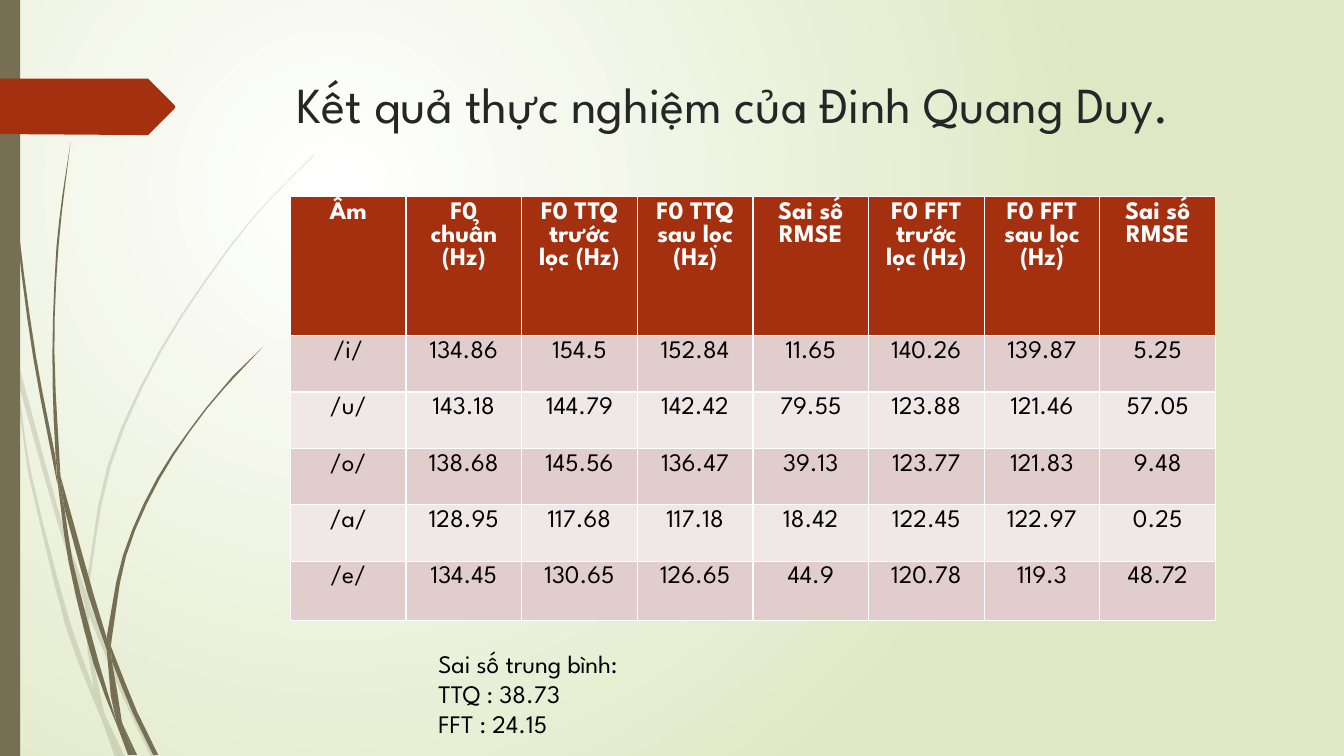
from math import hypot

from lxml import etree
from pptx import Presentation
from pptx.dml.color import RGBColor
from pptx.enum.shapes import MSO_SHAPE
from pptx.enum.text import MSO_ANCHOR, PP_ALIGN
from pptx.oxml import parse_xml
from pptx.oxml.ns import nsdecls, qn
from pptx.util import Pt

RECT = MSO_SHAPE.RECTANGLE
TOP = MSO_ANCHOR.TOP
LEFT, MID = PP_ALIGN.LEFT, PP_ALIGN.CENTER

WHITE = RGBColor(255, 255, 255)
BLACK = RGBColor(0, 0, 0)
INK = RGBColor(0x26, 0x26, 0x26)
OLIVE = RGBColor(0x76, 0x6F, 0x54)
RUST = RGBColor(0xA5, 0x30, 0x10)
ROSE = RGBColor(0xE1, 0xCD, 0xCC)
PALE = RGBColor(0xF0, 0xE8, 0xE7)
GREEN = RGBColor(0xDF, 0xE8, 0xC4)

FACE = "League Spartan"
UNIT = 0.72

HEAD = {"size": Pt(36), "color": INK, "bold": False}
NOTE = {"size": Pt(18), "color": BLACK, "bold": False}
LABEL = {"size": Pt(18), "color": WHITE, "bold": True}

BACK = [
    "11,350 9,322 0,282|0,299 10,344 11,350",
    "17,376 58,522 84,599|85,586 62,520 14,345",
    "88,610 123,694 150,751|155,751 127,692 92,607 88,596",
    "119,751 124,751|105,711",
    "101,714 93,683 70,619 31,469 17,376 11,350|28,470 65,621 92,693 101,714",
    "84,599 87,646 93,683 105,711|103,706 91,646 88,610 84,599",
    "88,596 88,584 110,462 160,349 229,245 268,198 312,154"
    "|312,153 268,197 228,244 158,348 107,461 85,584",
    "101,714 114,751|119,751",
    "88,610 88,596|85,586|84,599",
    "93,683 101,714 119,751|105,711 93,683",
]
FRONT = [
    "3,0 7,110 17,233 33,355 57,481|55,453 36,355 19,232 8,109 4,0",
    "64,505 88,592 106,645|106,633 93,590 60,472",
    "110,641|111,656 132,708 152,749|157,749 136,706 110,641",
    "57,477 68,557 93,659 117,722|116,717 98,657 72,556 64,505 57,477",
    "60,472 54,349 58,245 70,141|62,193 56,245 52,349 55,449 60,472",
    "133,749 136,749|122,719",
    "57,477 64,505|60,472 55,449",
    "111,633 125,552 158,476 205,406 261,344"
    "|231,373 204,405 156,474 122,551 106,631|110,641",
    "117,722 127,749|131,749",
    "106,645 110,691 122,719|121,716 111,656 106,645",
    "106,645 111,656|110,641 106,631",
    "110,691 117,722 130,749|133,749 122,719 110,691",
]
ARROW = "0,0|147,0|173,26|174,28|173,30|147,56|0,55"

ROWS = [
    ["Âm", "F0 chuẩn (Hz)", "F0 TTQ trước lọc (Hz)", "F0 TTQ sau lọc (Hz)",
     "Sai số\nRMSE", "F0 FFT trước lọc (Hz)", "F0 FFT sau lọc (Hz)", "Sai số RMSE"],
    ["/i/", "134.86", "154.5", "152.84", "11.65", "140.26", "139.87", "5.25"],
    ["/u/", "143.18", "144.79", "142.42", "79.55", "123.88", "121.46", "57.05"],
    ["/o/", "138.68", "145.56", "136.47", "39.13", "123.77", "121.83", "9.48"],
    ["/a/", "128.95", "117.68", "117.18", "18.42", "122.45", "122.97", "0.25"],
    ["/e/", "134.45", "130.65", "126.65", "44.9", "120.78", "119.3", "48.72"],
]
TALL = [99.4, 40.3, 40.3, 40.3, 40.3, 42.5]


def backdrop(slide):
    base = slide.background.fill
    base.gradient()
    for stop, color in zip(base.gradient_stops, (WHITE, GREEN)):
        stop.color.rgb = color
    grad = slide.background._cSld.find(".//" + qn("a:gradFill"))
    grad.remove(grad.find(qn("a:lin")))
    grad.insert(1, parse_xml(
        f'<a:path {nsdecls("a")} path="circle">'
        '<a:fillToRect l="50000" t="50000" r="100000" b="100000"/></a:path>'))


def paint(shape, color, alpha=100):
    shape.shadow.inherit = False
    shape.fill.solid()
    shape.fill.fore_color.rgb = color
    shape.line.fill.background()
    if alpha < 100:
        tone = shape._element.spPr.find(".//" + qn("a:srgbClr"))
        etree.SubElement(tone, qn("a:alpha"), val=str(alpha * 1000))


def smooth(edge):
    knots = [tuple(map(int, pair.split(","))) for pair in edge.split()]
    last = len(knots) - 1
    slopes = []
    for i in range(last + 1):
        (ax, ay), (bx, by) = knots[max(i - 1, 0)], knots[min(i + 1, last)]
        size = hypot(bx - ax, by - ay) or 1
        slopes.append(((bx - ax) / size, (by - ay) / size))
    track = [knots[0]]
    for i in range(last):
        reach = hypot(*(b - a for a, b in zip(knots[i], knots[i + 1])))
        steps = 1 + (reach > 50) + (reach > 80)
        for step in range(1, steps + 1):
            t = step / steps
            u = 1 - t
            track.append(tuple(
                (1 + 2 * t) * u * u * a + t * t * (3 - 2 * t) * b
                + reach * t * u * (u * m - t * n)
                for a, b, m, n in zip(knots[i], knots[i + 1], slopes[i], slopes[i + 1])))
    return track


def outline(slide, x, y, plan, color, alpha=100):
    track = [(Pt(x + a * UNIT), Pt(y + b * UNIT))
             for edge in plan.split("|") for a, b in smooth(edge)]
    pen = slide.shapes.build_freeform(*track[0])
    pen.add_line_segments(track[1:], close=True)
    paint(pen.convert_to_shape(), color, alpha)


def grass(slide, x, y, w, h):
    for plans, alpha in ((BACK, 20), (FRONT, 100)):
        for plan in plans:
            outline(slide, x, y, plan, OLIVE, alpha)
    paint(slide.shapes.add_shape(RECT, Pt(x), Pt(y), Pt(w), Pt(h)), OLIVE)
    outline(slide, x, y + 56.2, ARROW, RUST)


def write(frame, text, look, align):
    frame.text = text
    for para in frame.paragraphs:
        para.alignment = align
        font = para.runs[0].font
        font.name = FACE
        font.color.rgb = look["color"]
        for key in ("size", "bold"):
            setattr(font, key, look[key])


def label(slide, x, y, w, h, text, look):
    frame = slide.shapes.add_textbox(Pt(x), Pt(y), Pt(w), Pt(h)).text_frame
    frame.word_wrap = True
    frame.vertical_anchor = TOP
    write(frame, text, look, LEFT)


def results(slide, x, y, w, h):
    count = len(ROWS[0])
    grid = slide.shapes.add_table(len(ROWS), count, Pt(x), Pt(y), Pt(w), Pt(h)).table
    for col in grid.columns:
        col.width = Pt(w / count)
    for r, texts in enumerate(ROWS):
        grid.rows[r].height = Pt(TALL[r])
        for c, text in enumerate(texts):
            cell = grid.cell(r, c)
            write(cell.text_frame, text, NOTE if r else LABEL, MID)
            cell.fill.solid()
            cell.fill.fore_color.rgb = RUST if r == 0 else ROSE if r % 2 else PALE


def main():
    deck = Presentation()
    deck.slide_width, deck.slide_height = Pt(960), Pt(540)
    slide = deck.slides.add_slide(deck.slide_layouts[6])
    backdrop(slide)
    grass(slide, 0, 0, 14.4, 540)
    label(slide, 204.5, 49, 702, 100.8, "Kết quả thực nghiệm của Đinh Quang Duy.", HEAD)
    results(slide, 207.4, 140.4, 661, sum(TALL))
    label(slide, 306, 459.4, 424.8, 72.7,
          "Sai số trung bình:\nTTQ : 38.73\nFFT : 24.15", NOTE)
    deck.save("out.pptx")


if __name__ == "__main__":
    main()
